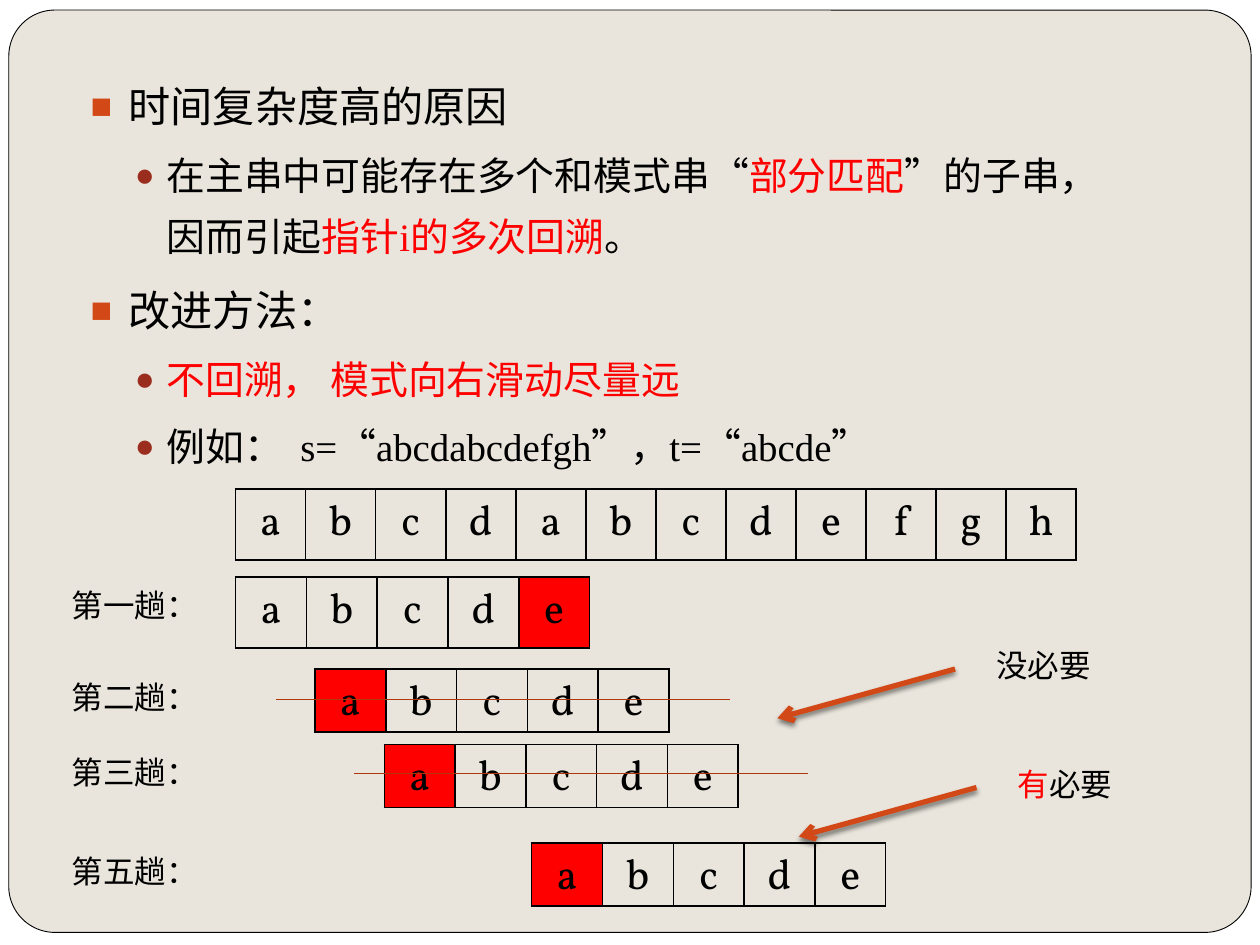
from lxml.etree import SubElement
from pptx import Presentation
from pptx.dml.color import RGBColor
from pptx.enum.lang import MSO_LANGUAGE_ID as Lang
from pptx.enum.shapes import MSO_CONNECTOR as Connector, MSO_SHAPE as Shape
from pptx.enum.text import MSO_ANCHOR as Anchor, MSO_AUTO_SIZE as AutoSize, PP_ALIGN as Align
from pptx.oxml.ns import qn
from pptx.util import Inches, Pt

COLORS = {"paper": "E9E5DC", "white": "FFFFFF", "ink": "000000", "red": "FF0000",
          "orange": "D34817", "rust": "9B2D1F", "strike": "B1360B"}
LEVELS = [
    {"size": 24.1, "before": 5.8, "left": 0.3, "hang": -0.3, "bullet": "■", "tint": "orange"},
    {"size": 22.2, "before": 3.7, "left": 0.6, "hang": -0.25, "bullet": "●", "tint": "rust"},
]
OUTLINE = [
    (0, [("时间复杂度高的原因", "ink")]),
    (1, [("在主串中可能存在多个和模式串“", "ink"), ("部分匹配", "red"), ("”的子串，因而引起", "ink"),
         ("指针i的多次回溯", "red"), ("。", "ink")]),
    (0, [("改进方法：", "ink")]),
    (1, [("不回溯， 模式向右滑动尽量远", "red")]),
    (1, [("例如：  s=“abcdabcdefgh”，t=“abcde”", "ink")]),
]
PASSES = [("第一趟：", 18.7, 45.8, 4), ("第二趟：", 25, 53.1, 0),
          ("第三趟：", 30.5, 59.1, 0), ("第五趟：", 42.2, 66.9, 0)]
VERDICTS = [(78.1, 50.8, [("没必要", "ink")]), (79.8, 60.2, [("有", "red"), ("必要", "ink")])]


class Board:
    """Draws styled elements on a slide gridded in 100 columns and 75 rows."""

    def __init__(self, deck):
        self.unit = deck.slide_width / 100
        self.slide = deck.slides.add_slide(deck.slide_layouts[1])
        self.shapes = self.slide.shapes
        title = self.shapes.title._element
        title.getparent().remove(title)
        self.paint(self.slide.background.fill, "paper")

    def grid(self, *lengths):
        return [round(length * self.unit) for length in lengths]

    def paint(self, fill, color):
        fill.solid()
        fill.fore_color.rgb = RGBColor.from_string(COLORS[color])

    def add_runs(self, paragraph, runs, size, face):
        for words, color in runs:
            run = paragraph.add_run()
            run.text = words
            look = {"size": Pt(size), "name": face, "language_id": Lang.SIMPLIFIED_CHINESE}
            for key, value in look.items():
                setattr(run.font, key, value)
            run.font.color.rgb = RGBColor.from_string(COLORS[color])

    def panel(self, kind, box, fill, line=None):
        panel = self.shapes.add_shape(kind, *self.grid(*box))
        panel.shadow.inherit = False
        self.paint(panel.fill, fill)
        if line:
            self.paint(panel.line.fill, line)
            panel.line.width = Pt(0.5)
        else:
            panel.line.fill.background()
        return panel

    def outline(self, box, entries):
        body = self.slide.placeholders[1]
        body.left, body.top, body.width, body.height = self.grid(*box)
        self.shapes._spTree.append(body._element)
        frame = body.text_frame
        frame.auto_size = AutoSize.NONE
        frame.vertical_anchor = Anchor.TOP
        for index, (level, runs) in enumerate(entries):
            paragraph = frame.add_paragraph() if index else frame.paragraphs[0]
            style = LEVELS[level]
            look = {"level": level, "line_spacing": 1.3, "alignment": Align.LEFT,
                    "space_before": Pt(style["before"]), "space_after": Pt(0)}
            for key, value in look.items():
                setattr(paragraph, key, value)
            props = paragraph._p.get_or_add_pPr()
            props.set("marL", str(Inches(style["left"])))
            props.set("indent", str(Inches(style["hang"])))
            tint = SubElement(props, qn("a:buClr"))
            SubElement(tint, qn("a:srgbClr"), val=COLORS[style["tint"]])
            SubElement(props, qn("a:buSzPct"), val="85000")
            SubElement(props, qn("a:buChar"), char=style["bullet"])
            self.add_runs(paragraph, runs, style["size"], "Times New Roman")

    def label(self, box, runs):
        frame = self.shapes.add_textbox(*self.grid(*box)).text_frame
        frame.word_wrap = True
        self.add_runs(frame.paragraphs[0], runs, 18, "Vollkorn")

    def letters(self, left, top, step, word, mismatch=None, foot=0.05):
        box = self.grid(left, top, step * len(word), 5)
        table = self.shapes.add_table(1, len(word), *box).table
        table.first_row = table.horz_banding = False
        for index, letter in enumerate(word):
            cell = table.cell(0, index)
            cell.margin_bottom = Inches(foot)
            paragraph = cell.text_frame.paragraphs[0]
            paragraph.alignment = Align.CENTER
            self.add_runs(paragraph, [(letter, "ink")], 24, "Vollkorn")
            props = cell._tc.get_or_add_tcPr()
            for side in ("lnL", "lnR", "lnT", "lnB"):
                edge = SubElement(props, qn(f"a:{side}"), w=str(Pt(1)))
                SubElement(SubElement(edge, qn("a:solidFill")), qn("a:srgbClr"), val=COLORS["ink"])
            if index == mismatch:
                self.paint(cell.fill, "red")
            else:
                cell.fill.background()

    def line(self, start, end, color, width, arrow=False):
        line = self.shapes.add_connector(Connector.STRAIGHT, *self.grid(*start, *end))
        self.paint(line.line.fill, color)
        line.line.width = Pt(width)
        effects = SubElement(line._element.spPr, qn("a:effectLst"))
        if arrow:
            SubElement(line.line._get_or_add_ln(), qn("a:tailEnd"), type="arrow")
            shadow = SubElement(effects, qn("a:outerShdw"), blurRad=str(Pt(3)), dist=str(Pt(2)),
                                dir="5400000", rotWithShape="0")
            black = SubElement(shadow, qn("a:srgbClr"), val=COLORS["ink"])
            SubElement(black, qn("a:alpha"), val="50000")


def main():
    deck = Presentation()
    deck.slide_width, deck.slide_height = Inches(10), Inches(7.5)
    board = Board(deck)
    board.panel(Shape.RECTANGLE, (0, 0, 100, 75), "white")
    card = board.panel(Shape.ROUNDED_RECTANGLE, (0.7, 0.8, 98.6, 73.2), "paper", "ink")
    card.adjustments[0] = 0.05
    board.outline((6.2, 4.7, 85, 34.4), OUTLINE)
    board.letters(18.7, 38.8, 5.56, "abcdabcdefgh")
    for number, (name, left, top, mismatch) in enumerate(PASSES):
        board.letters(left, top, 5.62, "abcde", mismatch, 0 if number else 0.05)
        board.label((4.7, top + 0.2, 12.5, 4), [(name, "ink")])
    for left, top in ((21.9, 55.5), (28.1, 61.4)):
        board.line((left, top), (left + 36, top), "strike", 0.75)
    for left, top, runs in VERDICTS:
        board.label((left, top, 13.3, 4), runs)
        board.line((left - 2.3, top + 2.3), (left - 16.4, top + 6.2), "orange", 3, arrow=True)
    deck.save("out.pptx")


if __name__ == "__main__":
    main()
